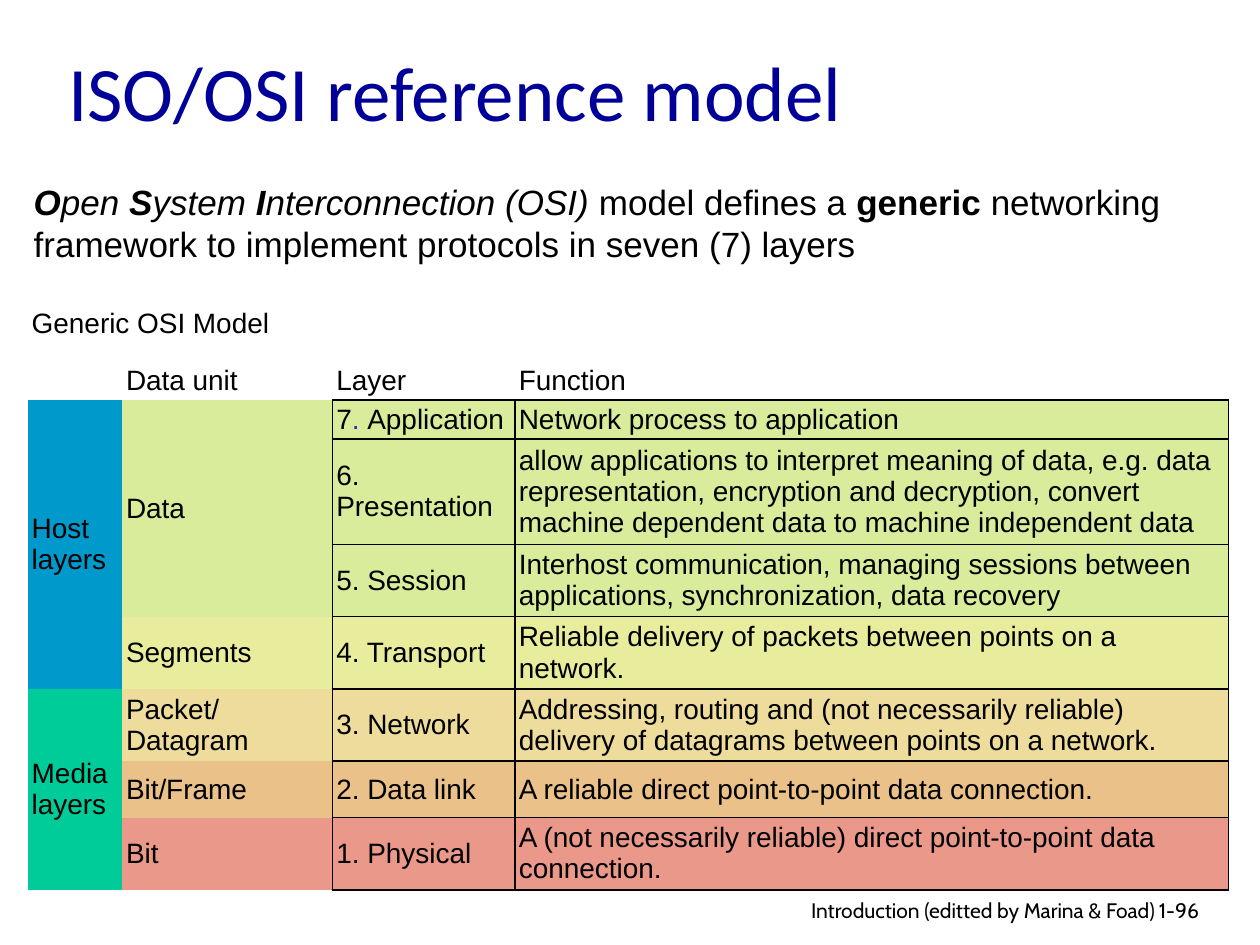
from lxml import etree
from pptx import Presentation
from pptx.dml.color import RGBColor
from pptx.enum.text import MSO_ANCHOR, MSO_AUTO_SIZE, PP_ALIGN
from pptx.oxml.ns import qn
from pptx.util import Cm, Pt

MIDDLE = MSO_ANCHOR.MIDDLE
LEFT, RIGHT = PP_ALIGN.LEFT, PP_ALIGN.RIGHT
NO_AUTOFIT = MSO_AUTO_SIZE.NONE
NO_STYLE = "{2D5ABB26-0587-4C30-8999-92F81FD0307C}"
BLACK, NAVY, PERIOD_BLUE = "000000", "000099", "2D2DB9"
HOST_BLUE, MEDIA_GREEN = "0099CC", "00CC99"
LIME, YELLOW, SAND, ORANGE, RED = "D8EC9B", "E7ED9C", "EDDC9C", "E9C189", "E9988A"

COLUMN_WIDTHS = [1.9, 4.24, 3.68, 14.38]
ROW_HEIGHTS = [1.52, 0.76, 0.76, 2.11, 1.45, 1.02, 1.45, 1.14, 1.45]
FIRST_LAYER_ROW = 2
HEADINGS = ["", "Data unit", "Layer", "Function"]
LAYERS = [
    ("7. Application", "Network process to application", LIME),
    ("6. Presentation", "allow applications to interpret meaning of data, e.g. data "
     "representation, encryption and decryption, convert machine dependent data to "
     "machine independent data", LIME),
    ("5. Session", "Interhost communication, managing sessions between applications, "
     "synchronization, data recovery", LIME),
    ("4. Transport", "Reliable delivery of packets between points on a network.", YELLOW),
    ("3. Network", "Addressing, routing and (not necessarily reliable) delivery of "
     "datagrams between points on a network.", SAND),
    ("2. Data link", "A reliable direct point-to-point data connection.", ORANGE),
    ("1. Physical", "A (not necessarily reliable) direct point-to-point data connection.", RED),
]
# first row, last row, column, text, fill
GROUPS = [
    (2, 5, 0, "Host\nlayers", HOST_BLUE),
    (6, 8, 0, "Media\nlayers", MEDIA_GREEN),
    (2, 4, 1, "Data", LIME),
    (5, 5, 1, "Segments", YELLOW),
    (6, 6, 1, "Packet/Datagram", SAND),
    (7, 7, 1, "Bit/Frame", ORANGE),
    (8, 8, 1, "Bit", RED),
]
INTRO = [
    ("O", True, True), ("pen ", False, True), ("S", True, True), ("ystem ", False, True),
    ("I", True, True), ("nterconnection (OSI)", False, True),
    (" model defines a ", False, False), ("generic", True, False),
    (" networking framework to implement protocols in seven (7) layers", False, False),
]


def rgb(value):
    return RGBColor.from_string(value)


def format_span(span, font, size, color=BLACK, bold=False, italic=False):
    span.font.name = font
    span.font.size = Pt(size)
    span.font.color.rgb = rgb(color)
    span.font.bold = bold
    span.font.italic = italic


def add_span(para, text, *style):
    span = para.add_run()
    span.text = text
    format_span(span, *style)


def add_title(page, text):
    title = page.shapes.title
    title.left, title.top, title.width, title.height = Cm(1.12), Cm(0.23), Cm(18.06), Cm(3.18)
    frame = title.text_frame
    frame.text = text
    frame.auto_size = NO_AUTOFIT
    frame.vertical_anchor = MIDDLE
    para = frame.paragraphs[0]
    para.alignment = LEFT
    format_span(para.runs[0], "Calibri", 44, NAVY)


def add_text(page, left, top, width, height, align=LEFT):
    """Add a wrapping text box and return its empty paragraph."""
    box = page.shapes.add_textbox(Cm(left), Cm(top), Cm(width), Cm(height))
    box.text_frame.word_wrap = True
    para = box.text_frame.paragraphs[0]
    para.alignment = align
    return para


def add_borders(cell):
    properties = cell._tc.get_or_add_tcPr()
    for side in ("a:lnL", "a:lnR", "a:lnT", "a:lnB"):
        line = etree.SubElement(properties, qn(side), w=str(Pt(1)))
        fill = etree.SubElement(line, qn("a:solidFill"))
        etree.SubElement(fill, qn("a:srgbClr"), val=BLACK)


def fill_cell(cell, text, fill=None, bordered=False):
    para = cell.text_frame.paragraphs[0]
    para.text = text
    for span in para.runs:
        format_span(span, "Arial", 16)
    if not text:
        etree.SubElement(para._p, qn("a:endParaRPr"), sz="1600")
    cell.vertical_anchor = MIDDLE
    cell.margin_left = cell.margin_right = Cm(0.08)
    cell.margin_top = cell.margin_bottom = Cm(0.05)
    if bordered:
        add_borders(cell)
    if fill:
        cell.fill.solid()
        cell.fill.fore_color.rgb = rgb(fill)
    else:
        cell.fill.background()


def color_period(cell):
    """Give the period after the layer number its own colour."""
    para = cell.text_frame.paragraphs[0]
    number, name = para.text.split(". ")
    para.text = ""
    for text, color in ((number, BLACK), (". ", PERIOD_BLUE), (name, BLACK)):
        add_span(para, text, "Arial", 16, color)


def add_layer_table(page):
    frame = page.shapes.add_table(
        len(ROW_HEIGHTS), len(COLUMN_WIDTHS), Cm(0.56), Cm(5.77),
        Cm(sum(COLUMN_WIDTHS)), Cm(sum(ROW_HEIGHTS)))
    table = frame.table
    table.first_row = table.horz_banding = False
    table._tbl.tblPr.find(qn("a:tableStyleId")).text = NO_STYLE
    for column, width in zip(table.columns, COLUMN_WIDTHS):
        column.width = Cm(width)
    for row, height in zip(table.rows, ROW_HEIGHTS):
        row.height = Cm(height)

    table.cell(0, 0).merge(table.cell(0, 3))
    fill_cell(table.cell(0, 0), "Generic OSI Model")
    for column, heading in enumerate(HEADINGS):
        fill_cell(table.cell(1, column), heading)
    for first, last, column, text, fill in GROUPS:
        cell = table.cell(first, column)
        if last > first:
            cell.merge(table.cell(last, column))
        fill_cell(cell, text, fill)
    for row, (layer, function, fill) in enumerate(LAYERS, FIRST_LAYER_ROW):
        fill_cell(table.cell(row, 2), layer, fill, bordered=True)
        fill_cell(table.cell(row, 3), function, fill, bordered=True)
    color_period(table.cell(FIRST_LAYER_ROW, 2))


def main():
    deck = Presentation()
    deck.slide_width, deck.slide_height = Cm(25.4), Cm(19.05)
    page = deck.slides.add_slide(deck.slide_layouts[5])

    footer = add_text(page, 15.49, 17.96, 8.05, 0.79, RIGHT)
    add_span(footer, "Introduction (editted by Marina & Foad)", "Cabin", 12)
    number = add_text(page, 23.11, 17.96, 1.88, 0.76)
    add_span(number, "1-96", "Cabin", 12)

    add_title(page, "ISO/OSI reference model")
    intro = add_text(page, 0.43, 3.51, 24.38, 1.96)
    for text, bold, italic in INTRO:
        add_span(intro, text, "Arial", 20, BLACK, bold, italic)
    add_layer_table(page)
    deck.save("out.pptx")


if __name__ == "__main__":
    main()
